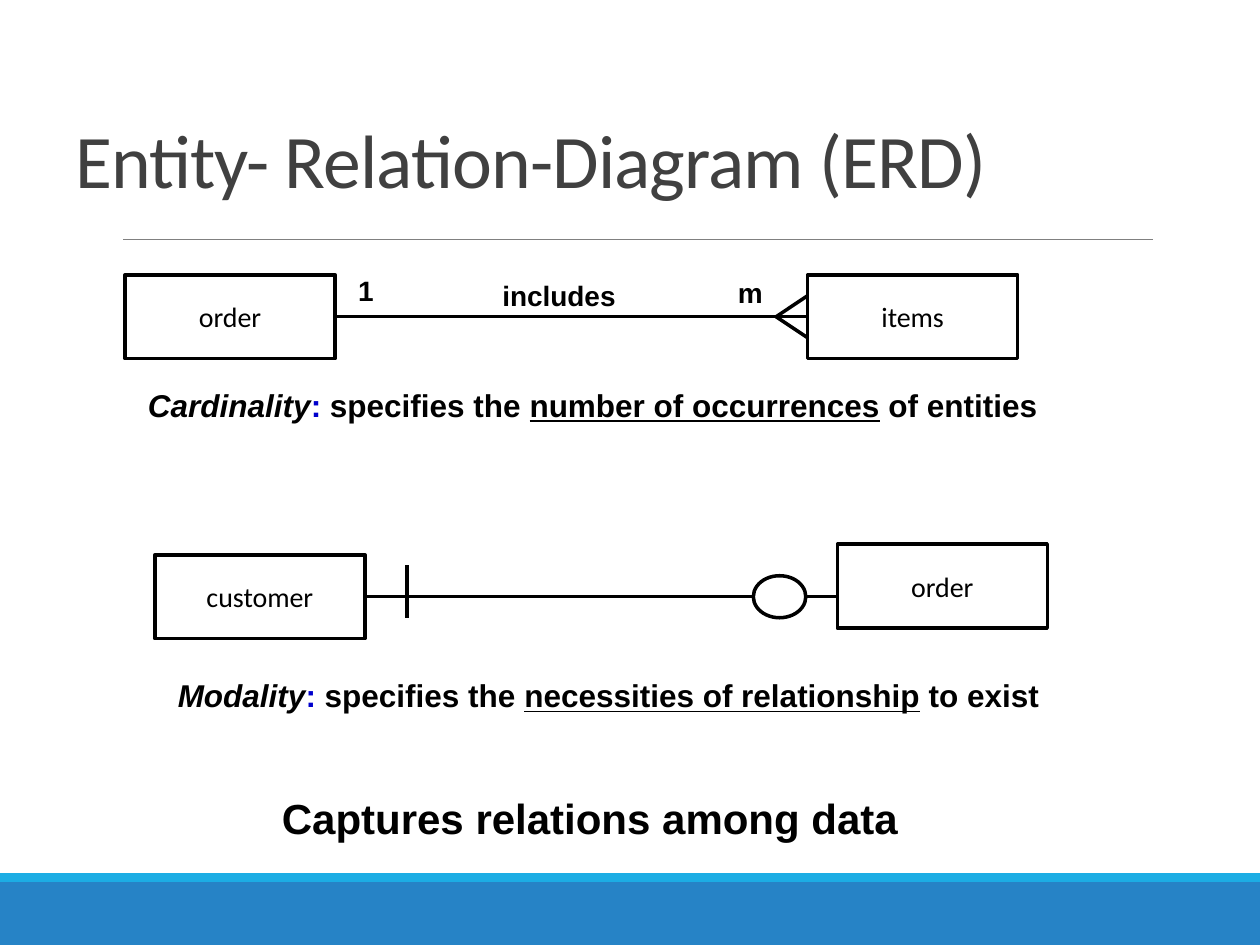
"""Build a slide on cardinality and modality in entity-relation diagrams."""
from lxml import etree
from pptx import Presentation
from pptx.dml.color import RGBColor
from pptx.enum.shapes import MSO_CONNECTOR, MSO_SHAPE
from pptx.enum.text import MSO_ANCHOR, PP_ALIGN
from pptx.oxml.ns import qn
from pptx.util import Pt

STRAIGHT = MSO_CONNECTOR.STRAIGHT
RECT, OVAL = MSO_SHAPE.RECTANGLE, MSO_SHAPE.OVAL
MIDDLE, BOTTOM = MSO_ANCHOR.MIDDLE, MSO_ANCHOR.BOTTOM
CENTER = PP_ALIGN.CENTER
LEFT_SIDE, RIGHT_SIDE = 1, 3
COLORS = {"black": "000000", "white": "FFFFFF", "title": "404040", "colon": "0000CC",
          "rule": "808080", "band": "2683C6", "stripe": "1CADE4"}
BOX_W, BOX_H = 120, 48


def rgb(name):
    """Return the named colour."""
    return RGBColor.from_string(COLORS[name])


def style(r, size, font="Arial", color="black", bold=False):
    """Format one run."""
    r.font.size, r.font.name, r.font.bold = Pt(size), font, bold
    r.font.color.rgb = rgb(color)


def add_shape(s, kind, x, y, w, h, fill="white", line="black"):
    """Add a filled shape, outlined unless line is None."""
    sp = s.shapes.add_shape(kind, Pt(x), Pt(y), Pt(w), Pt(h))
    sp.shadow.inherit = False
    sp.fill.solid()
    sp.fill.fore_color.rgb = rgb(fill)
    if line:
        sp.line.color.rgb, sp.line.width = rgb(line), Pt(2)
    else:
        sp.line.fill.background()
    return sp


def add_entity(s, x, y, name):
    """Add an entity box with its name."""
    sp = add_shape(s, RECT, x, y, BOX_W, BOX_H)
    tf = sp.text_frame
    tf.text, tf.word_wrap, tf.vertical_anchor = name, False, MIDDLE
    p = tf.paragraphs[0]
    p.alignment = CENTER
    style(p.runs[0], 16, "Calibri")
    return sp


def add_line(s, x1, y1, x2, y2, color="black", width=2):
    """Add a straight line without shadow."""
    c = s.shapes.add_connector(STRAIGHT, Pt(x1), Pt(y1), Pt(x2), Pt(y2))
    c.line.color.rgb, c.line.width = rgb(color), Pt(width)
    etree.SubElement(c._element.spPr, qn("a:effectLst"))
    return c


def add_text(s, x, y, w, h, text, size):
    """Add a bold single-line text box."""
    tf = s.shapes.add_textbox(Pt(x), Pt(y), Pt(w), Pt(h)).text_frame
    tf.text, tf.word_wrap = text, False
    style(tf.paragraphs[0].runs[0], size, bold=True)
    return tf


def add_definition(s, x, y, w, term, key, ending):
    """Add a definition with an italic term and an underlined key phrase."""
    p = add_text(s, x, y, w, 29, term, 18).paragraphs[0]
    p.runs[0].font.italic = True
    for text, color in ((":", "colon"), (" specifies the ", "black"),
                        (key, "black"), (ending, "black")):
        r = p.add_run()
        r.text = text
        style(r, 18, color=color, bold=True)
        r.font.underline = text == key


def add_title(s, text):
    """Add the slide title."""
    tf = s.shapes.add_textbox(Pt(36), Pt(12), Pt(562), Pt(108)).text_frame
    tf.text, tf.word_wrap, tf.vertical_anchor = text, True, BOTTOM
    p = tf.paragraphs[0]
    p.line_spacing = 0.85
    style(p.runs[0], 43.2, "Calibri", "title")
    p.runs[0]._r.get_or_add_rPr().set("spc", "-50")


def add_cardinality(s):
    """Draw the one-to-many relation with a crow's foot."""
    order = add_entity(s, 71.5, 157, "order")
    items = add_entity(s, 461.5, 157, "items")
    c = add_line(s, 191.5, 181, 461.5, 181)
    c.begin_connect(order, RIGHT_SIDE)
    c.end_connect(items, LEFT_SIDE)
    for dy in (-12, 12):
        add_line(s, 443.5, 181, 461.5, 181 + dy)
    for x, y, w, text in ((280, 155.5, 79, "includes"), (197.5, 152.5, 23, "1"),
                          (414.5, 154, 29, "m")):
        add_text(s, x, y, w, 26.5, text, 16)
    add_definition(s, 77.5, 217, 528.5, "Cardinality", "number of occurrences", " of entities")


def add_modality(s):
    """Draw the mandatory-to-optional relation."""
    customer = add_entity(s, 88.5, 317, "customer")
    add_entity(s, 478.5, 311, "order")
    c = add_line(s, 208.5, 341, 478.5, 341)
    c.begin_connect(customer, RIGHT_SIDE)
    add_line(s, 232.5, 323, 232.5, 353)
    add_shape(s, OVAL, 430.5, 329, 30, 24)
    add_definition(s, 94.5, 383, 511, "Modality", "necessities of relationship", " to exist")


def main():
    """Build and save the slide."""
    prs = Presentation()
    prs.slide_width, prs.slide_height = Pt(720), Pt(540)
    s = prs.slides.add_slide(prs.slide_layouts[6])
    add_shape(s, RECT, 0, 504, 720, 36, "band", None)
    add_shape(s, RECT, 0, 499, 720, 5, "stripe", None)
    add_line(s, 70.5, 136.8, 659, 136.8, "rule", 0.5)
    add_title(s, "Entity- Relation-Diagram (ERD)")
    add_cardinality(s)
    add_modality(s)
    add_text(s, 154, 449.5, 384.5, 36.5, "Captures relations among data", 24)
    prs.save("out.pptx")


if __name__ == "__main__":
    main()
